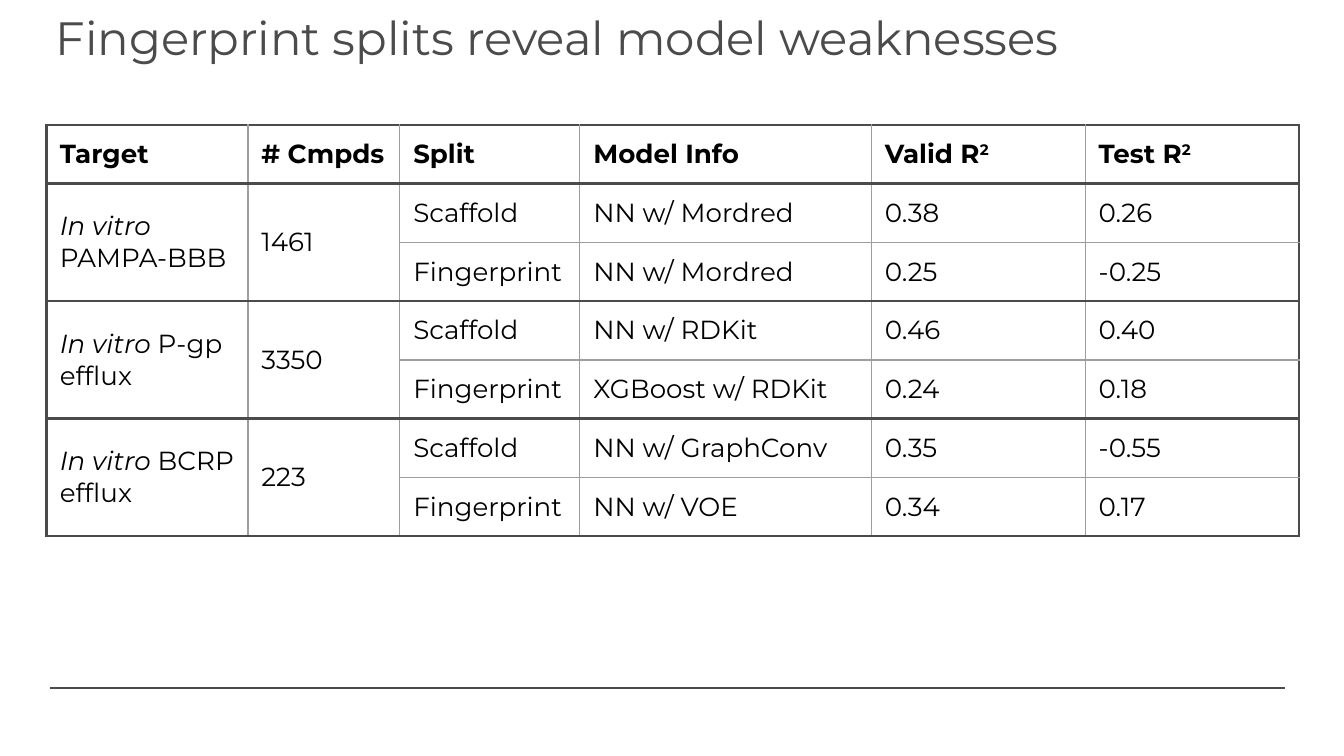
"""Build the slide comparing scaffold and fingerprint splits."""
from dataclasses import dataclass

import lxml.etree
import pptx
import pptx.dml.color
import pptx.enum.shapes
import pptx.enum.text
import pptx.oxml.ns
import pptx.util

RGBColor = pptx.dml.color.RGBColor
EMU_PER_PX = 4572
FONT = "Montserrat"
CHARCOAL = RGBColor(0x4B, 0x4B, 0x4B)
GRID_GREY = RGBColor(0x9E, 0x9E, 0x9E)
BLACK = RGBColor(0, 0, 0)
MIDDLE = pptx.enum.text.MSO_ANCHOR.MIDDLE
COLUMN_WIDTHS = (300, 226, 268, 434, 318, 318)
ROW_HEIGHT = 74
MERGED_COLUMNS = 2


@dataclass(frozen=True)
class Piece:
    text: str
    italic: bool = False
    raised: bool = False


@dataclass(frozen=True)
class Result:
    split: str
    model: str
    valid: str
    test: str


@dataclass(frozen=True)
class Assay:
    target: str
    compounds: str
    results: tuple[Result, Result]


HEADERS = (
    (Piece("Target"),),
    (Piece("# Cmpds"),),
    (Piece("Split"),),
    (Piece("Model Info"),),
    (Piece("Valid R"), Piece("2", raised=True)),
    (Piece("Test R"), Piece("2", raised=True)),
)
ASSAYS = (
    Assay("PAMPA-BBB", "1461", (
        Result("Scaffold", "NN w/ Mordred", "0.38", "0.26"),
        Result("Fingerprint", "NN w/ Mordred", "0.25", "-0.25"),
    )),
    Assay("P-gp efflux", "3350", (
        Result("Scaffold", "NN w/ RDKit", "0.46", "0.40"),
        Result("Fingerprint", "XGBoost w/ RDKit", "0.24", "0.18"),
    )),
    Assay("BCRP efflux", "223", (
        Result("Scaffold", "NN w/ GraphConv", "0.35", "-0.55"),
        Result("Fingerprint", "NN w/ VOE", "0.34", "0.17"),
    )),
)


def px(length: int) -> pptx.util.Emu:
    return pptx.util.Emu(length * EMU_PER_PX)


def apply(target: object, formats: dict) -> None:
    for attribute, value in formats.items():
        setattr(target, attribute, value)


def write_pieces(cell, pieces: tuple[Piece, ...], bold: bool = False) -> None:
    paragraph = cell.text_frame.paragraphs[0]
    for piece in pieces:
        run = paragraph.add_run()
        run.text = piece.text
        apply(run.font, {"name": FONT, "size": pptx.util.Pt(14),
                         "bold": bold, "italic": piece.italic})
        run.font.color.rgb = BLACK
        if piece.raised:
            run.font._element.set("baseline", "30000")


def add_border(cell, side: str, heavy: bool) -> None:
    qn = pptx.oxml.ns.qn
    width = pptx.util.Pt(1.5 if heavy else 0.75)
    properties = cell._tc.get_or_add_tcPr()
    border = lxml.etree.SubElement(properties, qn(f"a:ln{side}"), w=str(width))
    fill = lxml.etree.SubElement(border, qn("a:solidFill"))
    colour = CHARCOAL if heavy else GRID_GREY
    lxml.etree.SubElement(fill, qn("a:srgbClr"), val=str(colour))


def format_cell(cell, row: int, column: int) -> None:
    margins = ("margin_left", "margin_top", "margin_right", "margin_bottom")
    apply(cell, dict.fromkeys(margins, px(20)) | {"vertical_anchor": MIDDLE})
    merged = column < MERGED_COLUMNS
    heavy_sides = {
        "L": column == 0,
        "R": column == len(COLUMN_WIDTHS) - 1,
        "T": merged or row == 0 or row % 2 == 1,
        "B": merged or row % 2 == 0,
    }
    for side, heavy in heavy_sides.items():
        add_border(cell, side, heavy)
    cell.fill.background()


def add_results_table(slide) -> None:
    row_count = 1 + sum(len(assay.results) for assay in ASSAYS)
    table = slide.shapes.add_table(
        row_count, len(COLUMN_WIDTHS), px(69), px(186),
        px(sum(COLUMN_WIDTHS)), px(ROW_HEIGHT * row_count)).table
    apply(table, {"first_row": False, "horz_banding": False})
    for column, width in zip(table.columns, COLUMN_WIDTHS):
        column.width = px(width)
    for row in range(row_count):
        table.rows[row].height = px(ROW_HEIGHT)
        for column in range(len(COLUMN_WIDTHS)):
            format_cell(table.cell(row, column), row, column)
    for column, header in enumerate(HEADERS):
        write_pieces(table.cell(0, column), header, bold=True)
    for index, assay in enumerate(ASSAYS):
        first = 1 + 2 * index
        for column in range(MERGED_COLUMNS):
            table.cell(first, column).merge(table.cell(first + 1, column))
        write_pieces(table.cell(first, 0),
                     (Piece("In vitro ", italic=True), Piece(assay.target)))
        write_pieces(table.cell(first, 1), (Piece(assay.compounds),))
        for row, result in enumerate(assay.results, first):
            values = (result.split, result.model, result.valid, result.test)
            for column, value in enumerate(values, MERGED_COLUMNS):
                write_pieces(table.cell(row, column), (Piece(value),))


def add_footer_rule(slide) -> None:
    rule = slide.shapes.add_connector(
        pptx.enum.shapes.MSO_CONNECTOR.STRAIGHT, px(75), px(1024), px(1912), px(1024))
    rule.line.color.rgb = CHARCOAL
    rule.line.width = pptx.util.Pt(0.75)
    lxml.etree.SubElement(rule._element.spPr, pptx.oxml.ns.qn("a:effectLst"))


def set_title(slide) -> None:
    title = slide.shapes.title
    apply(title, {"left": px(68), "top": px(-3), "width": px(1864), "height": px(126)})
    title.text_frame.text = "Fingerprint splits reveal model weaknesses"
    apply(title.text_frame, {
        "margin_left": px(15), "margin_right": px(15),
        "margin_top": px(8), "margin_bottom": px(8),
        "vertical_anchor": MIDDLE, "word_wrap": True,
        "auto_size": pptx.enum.text.MSO_AUTO_SIZE.NONE,
    })
    paragraph = title.text_frame.paragraphs[0]
    apply(paragraph, {"alignment": pptx.enum.text.PP_ALIGN.LEFT, "line_spacing": 0.9})
    font = paragraph.runs[0].font
    apply(font, {"name": FONT, "size": pptx.util.Pt(25), "bold": False})
    font.color.rgb = CHARCOAL


def main() -> None:
    presentation = pptx.Presentation()
    apply(presentation, {"slide_width": px(2000), "slide_height": px(1125)})
    slide = presentation.slides.add_slide(presentation.slide_layouts[5])
    add_footer_rule(slide)
    add_results_table(slide)
    set_title(slide)
    presentation.save("out.pptx")


if __name__ == "__main__":
    main()
